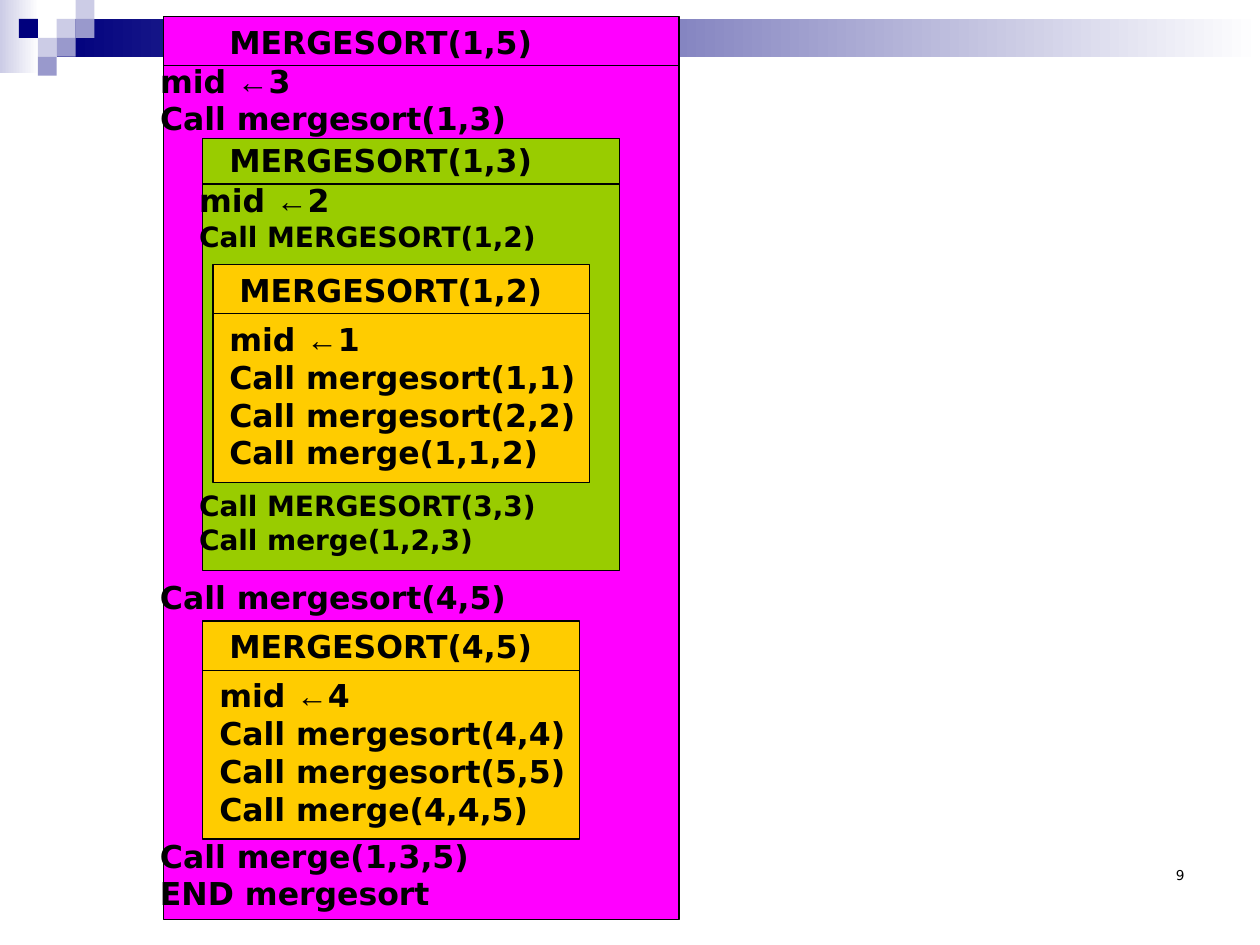
from dataclasses import dataclass

from lxml import etree
from pptx import Presentation
from pptx import util as u
from pptx.dml.color import RGBColor
from pptx.enum import shapes, text
from pptx.oxml import ns


@dataclass(frozen=True)
class Theme:
    """Colours, fonts and type sizes of the slide."""
    ink: str = "000000"
    white: str = "FFFFFF"
    navy: str = "00007D"
    lilac: str = "9999CC"
    pale: str = "CCCCE6"
    outer: str = "FF00FF"
    middle: str = "99CC00"
    leaf: str = "FFCC00"
    font: str = "DejaVu Sans"
    arrow_font: str = "Arial"
    large: float = 18
    small: float = 16
    number: float = 7.8
    line: float = 0.75


THEME = Theme()


def add_block(slide, left, top, width, height, color, fade=None, outline=False):
    """Add a rectangle, plain or fading to the right into a second colour."""
    shape = slide.shapes.add_shape(
        shapes.MSO_SHAPE.RECTANGLE, *map(u.Inches, (left, top, width, height)))
    shape.shadow.inherit = False
    if fade:
        shape.fill.gradient()
        shape.fill.gradient_angle = 0
        for stop, shade, position in zip(shape.fill.gradient_stops, (color, fade), (0, 1)):
            stop.color.rgb = RGBColor.from_string(shade)
            stop.position = position
    else:
        shape.fill.solid()
        shape.fill.fore_color.rgb = RGBColor.from_string(color)
    if outline:
        shape.line.color.rgb = RGBColor.from_string(THEME.ink)
        shape.line.width = u.Pt(THEME.line)
    else:
        shape.line.fill.background()


def add_rule(slide, left, top, width):
    """Add a thin horizontal line."""
    rule = slide.shapes.add_connector(
        shapes.MSO_CONNECTOR.STRAIGHT,
        *map(u.Inches, (left, top, left + width, top)))
    rule.line.color.rgb = RGBColor.from_string(THEME.ink)
    rule.line.width = u.Pt(THEME.line)
    etree.SubElement(rule._element.spPr, ns.qn("a:effectLst"))


def add_run(paragraph, words, size, bold):
    """Add a run, with arrows set in their own font and weight."""
    run = paragraph.add_run()
    run.text = words
    is_arrow = words == "←"
    run.font.name = THEME.arrow_font if is_arrow else THEME.font
    run.font.size = u.Pt(size)
    run.font.bold = bold and not is_arrow
    run.font.color.rgb = RGBColor.from_string(THEME.ink)


def add_lines(slide, left, top, width, height, *lines, bold=True,
              align=text.PP_ALIGN.LEFT):
    """Add a text box with one paragraph for each (words, size) pair."""
    box = slide.shapes.add_textbox(*map(u.Inches, (left, top, width, height)))
    frame = box.text_frame
    frame.word_wrap = True
    frame.margin_left = frame.margin_right = u.Inches(0.05)
    frame.margin_top = frame.margin_bottom = u.Inches(0.05)
    for index, (words, size) in enumerate(lines):
        paragraph = frame.add_paragraph() if index else frame.paragraphs[0]
        paragraph.alignment = align
        before, arrow, after = words.partition("←")
        for part in filter(None, (before, arrow, after)):
            add_run(paragraph, part, size, bold)


def add_call(slide, left, top, width, height, color, title, title_left, header=0.39):
    """Add the frame of one recursive call with its title and divider."""
    add_block(slide, left, top, width, height, color, outline=True)
    add_lines(slide, title_left, top + header - 0.39, 2.84, 0.4, (title, THEME.large))
    add_rule(slide, left, top + header, width)


def add_leaf_call(slide, left, top, first, last):
    """Add a call that splits a pair of elements and merges them."""
    add_call(slide, left, top, 2.99, 1.73, THEME.leaf,
             f"MERGESORT({first},{last})", left + 0.16)
    steps = (f"mid ←{first}", f"Call mergesort({first},{first})",
             f"Call mergesort({last},{last})", f"Call merge({first},{first},{last})")
    add_lines(slide, left + 0.08, top + 0.39, 2.91, 1.3,
              *((step, THEME.large) for step in steps))


def add_header_band(slide):
    """Add the fading band and the small squares at the top left."""
    add_block(slide, 0, 0, 0.31, 0.58, THEME.pale, fade=THEME.white)
    add_block(slide, 0.45, 0.15, 9.55, 0.3, THEME.navy, fade=THEME.white)
    squares = ((3, 1, THEME.pale), (4, 0, THEME.pale), (4, 1, THEME.lilac),
               (2, 2, THEME.pale), (1, 1, THEME.navy), (3, 2, THEME.lilac),
               (2, 3, THEME.lilac))
    for column, row, color in squares:
        add_block(slide, column * 0.15, row * 0.15, 0.15, 0.15, color)


def add_call_tree(slide):
    """Add the nested calls and the steps between them."""
    large, small = THEME.large, THEME.small
    add_call(slide, 1.3, 0.13, 4.09, 7.17, THEME.outer, "MERGESORT(1,5)", 1.77)
    add_lines(slide, 1.22, 0.44, 3.62, 0.7,
              ("mid ←3", large), ("Call mergesort(1,3)", large))
    add_call(slide, 1.61, 1.1, 3.31, 3.43, THEME.middle,
             "MERGESORT(1,3)", 1.77, header=0.36)
    add_lines(slide, 1.53, 1.39, 2.99, 0.67,
              ("mid ←2", large), ("Call MERGESORT(1,2)", small))
    add_leaf_call(slide, 1.69, 2.1, 1, 2)
    add_lines(slide, 1.53, 3.83, 2.99, 0.63,
              ("Call MERGESORT(3,3)", small), ("Call merge(1,2,3)", small))
    add_lines(slide, 1.22, 4.54, 3.46, 0.4, ("Call mergesort(4,5)", large))
    add_leaf_call(slide, 1.61, 4.93, 4, 5)
    add_lines(slide, 1.22, 6.59, 3.23, 0.7,
              ("Call merge(1,3,5)", large), ("END mergesort", large))


def main():
    """Build and save the slide."""
    presentation = Presentation()
    presentation.slide_width = u.Inches(10)
    presentation.slide_height = u.Inches(7.5)
    slide = presentation.slides.add_slide(presentation.slide_layouts[6])
    add_header_band(slide)
    add_lines(slide, 9.1, 6.83, 0.35, 0.27, ("9", THEME.number),
              bold=False, align=text.PP_ALIGN.RIGHT)
    add_call_tree(slide)
    presentation.save("out.pptx")


if __name__ == "__main__":
    main()
